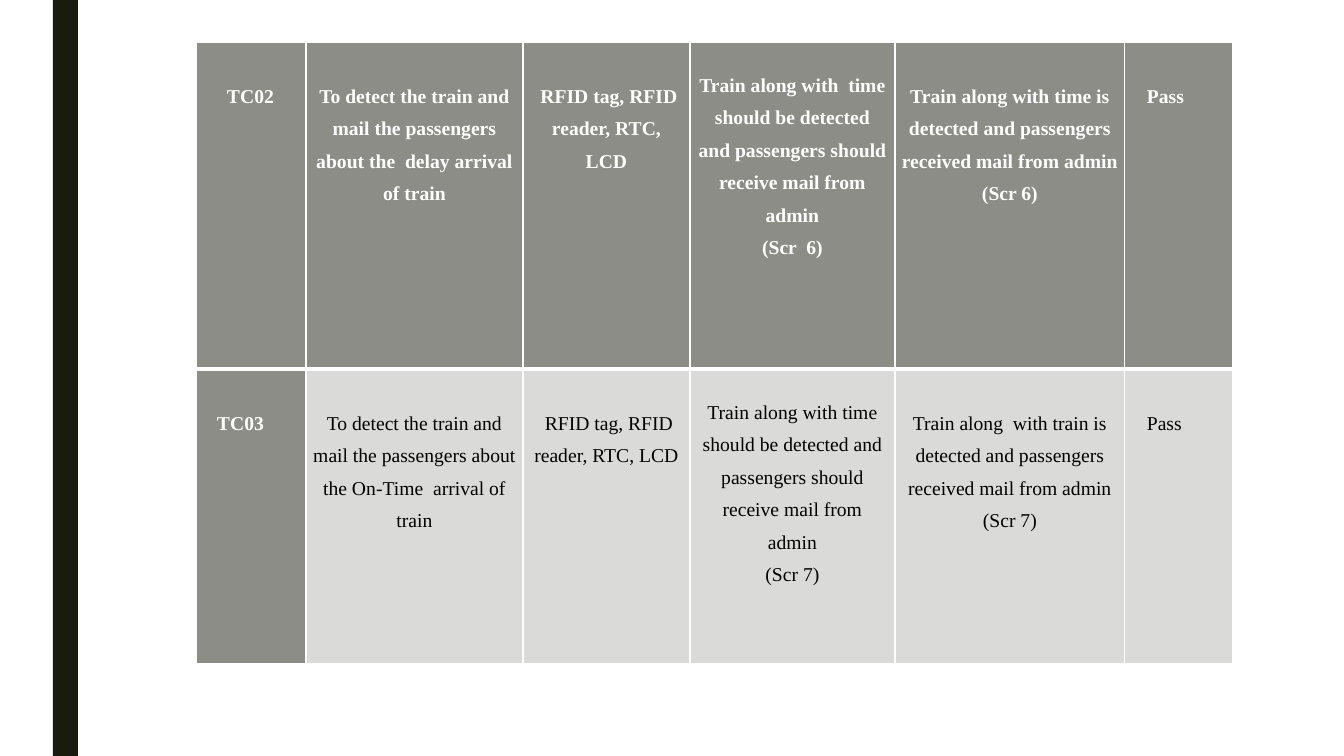
"""Builds a slide with a test case table for train detection and passenger mails."""
from lxml import etree
from pptx import Presentation
from pptx.dml.color import RGBColor
from pptx.enum.shapes import MSO_SHAPE
from pptx.enum.text import PP_ALIGN
from pptx.oxml.ns import qn
from pptx.util import Emu, Pt

RECTANGLE = MSO_SHAPE.RECTANGLE
LEFT, CENTER = PP_ALIGN.LEFT, PP_ALIGN.CENTER
WHITE = RGBColor(0xFF, 0xFF, 0xFF)
BLACK = RGBColor(0x00, 0x00, 0x00)
DARK_OLIVE = RGBColor(0x19, 0x1B, 0x0E)
HEADER_GRAY = RGBColor(0x8C, 0x8D, 0x86)
LIGHT_GRAY = RGBColor(0xDA, 0xDB, 0xD9)
EMU_PER_PX = 914400 / 100.8


def px(length):
    return Emu(round(length * EMU_PER_PX))


def add_border(cell, side, points):
    line = etree.SubElement(cell._tc.get_or_add_tcPr(), qn(f"a:ln{side}"), w=str(Pt(points)))
    fill = etree.SubElement(line, qn("a:solidFill"))
    etree.SubElement(fill, qn("a:srgbClr"), val=str(WHITE))


COLUMN_WIDTHS = [110, 217, 167, 205, 230, 108]
ROW_HEIGHTS = [327, 295]
TOP_MARGINS = [33, 33, 33, 22, 33, 33]
ALIGNMENTS = [LEFT, CENTER, CENTER, CENTER, CENTER, LEFT]
LEFT_MARGINS = [[31, 7, 7, 7, 7, 22], [21, 7, 7, 7, 7, 22]]
TEST_CASES = [
    [
        ["TC02"],
        ["To detect the train and mail the passengers about the  delay arrival of train"],
        [" RFID tag, RFID reader, RTC, LCD"],
        ["Train along with  time should be detected and passengers should receive mail from admin",
         "(Scr  6)"],
        ["Train along with time is detected and passengers received mail from admin", "(Scr 6)"],
        ["Pass"],
    ],
    [
        ["TC03"],
        ["To detect the train and mail the passengers about the On-Time  arrival of train"],
        [" RFID tag, RFID reader, RTC, LCD"],
        ["Train along with time should be detected and passengers should receive mail from admin",
         "(Scr 7)"],
        ["Train along  with train is detected and passengers received mail from admin", "(Scr 7)"],
        ["Pass"],
    ],
]

presentation = Presentation()
presentation.slide_width = px(1344)
presentation.slide_height = px(756)
slide = presentation.slides.add_slide(presentation.slide_layouts[6])

side_bar = slide.shapes.add_shape(RECTANGLE, px(53), px(0), px(25), px(756))
side_bar.shadow.inherit = False
side_bar.fill.solid()
side_bar.fill.fore_color.rgb = DARK_OLIVE
side_bar.line.fill.background()

test_table = slide.shapes.add_table(
    len(ROW_HEIGHTS), len(COLUMN_WIDTHS), px(196), px(42),
    px(sum(COLUMN_WIDTHS)), px(sum(ROW_HEIGHTS))).table
for column, width in zip(test_table.columns, COLUMN_WIDTHS):
    column.width = px(width)
for row, height in zip(test_table.rows, ROW_HEIGHTS):
    row.height = px(height)

for row_index, test_case in enumerate(TEST_CASES):
    for column_index, lines in enumerate(test_case):
        cell = test_table.cell(row_index, column_index)
        is_header = row_index == 0 or column_index == 0
        for side in "LRTB":
            add_border(cell, side, 3 if row_index == 0 and side == "B" else 1)
        cell.fill.solid()
        cell.fill.fore_color.rgb = HEADER_GRAY if is_header else LIGHT_GRAY
        margins = {
            "margin_left": LEFT_MARGINS[row_index][column_index],
            "margin_right": 7,
            "margin_top": TOP_MARGINS[column_index],
            "margin_bottom": 0,
        }
        for name, length in margins.items():
            setattr(cell, name, px(length))
        cell.text = "\n".join(lines)
        font_format = {"name": "Times New Roman", "size": Pt(14), "bold": is_header}
        for paragraph in cell.text_frame.paragraphs:
            paragraph.alignment = ALIGNMENTS[column_index]
            paragraph.line_spacing = 1.5
            font = paragraph.runs[0].font
            for name, value in font_format.items():
                setattr(font, name, value)
            font.color.rgb = WHITE if is_header else BLACK

presentation.save("out.pptx")
